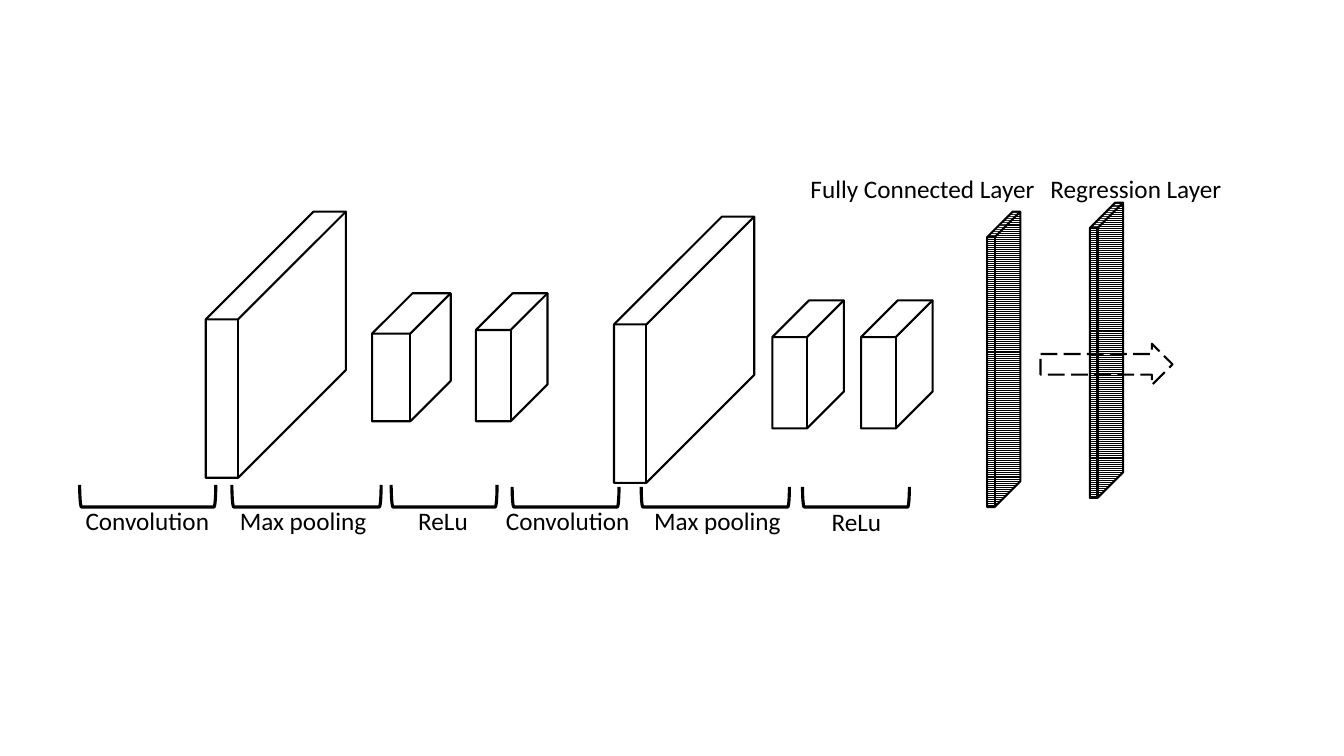
import dataclasses

import pptx
import pptx.dml.color
import pptx.enum.dml
import pptx.enum.shapes
import pptx.enum.text
import pptx.util

EMU_PER_PX = 9144
SHAPES = pptx.enum.shapes.MSO_SHAPE
BRACKET_BOTTOM = 503
LABEL_HEIGHT = 40


@dataclasses.dataclass(frozen=True)
class Theme:
    ink: pptx.dml.color.RGBColor = pptx.dml.color.RGBColor(0, 0, 0)
    paper: pptx.dml.color.RGBColor = pptx.dml.color.RGBColor(255, 255, 255)
    font: str = "Calibri"
    label_size: int = 18
    outline: float = 1.5
    bracket_line: float = 2.25


THEME = Theme()

FEATURE_MAPS = [
    (204, 210, 139, 264, 0.769),
    (369, 291, 78, 127, 0.514),
    (472, 291, 71, 127, 0.514),
    (609, 215, 139, 264, 0.769),
    (766, 298, 71, 127, 0.514),
    (854, 298, 71, 127, 0.514),
]

DENSE_LAYERS = [
    ("Fully Connected Layer", 794, 245, 979, 210),
    ("Regression Layer", 1032, 192, 1081, 201),
]

STAGES = [
    ("Convolution", 75, 496, 144, 79, 135, 22),
    ("Max pooling", 228, 496, 147, 230, 148, 22),
    ("ReLu", 405, 496, 70, 388, 105, 22),
    ("Convolution", 492, 496, 144, 508, 106, 20),
    ("Max pooling", 639, 496, 147, 636, 147, 20),
    ("ReLu", 815, 497, 70, 796, 106, 20),
]


def px(value):
    return pptx.util.Emu(round(value * EMU_PER_PX))


def set_attributes(target, values):
    for name, value in values.items():
        setattr(target, name, value)


def add_outline(slide, kind, left, top, width, height, weight=THEME.outline):
    shape = slide.shapes.add_shape(kind, px(left), px(top), px(width), px(height))
    shape.shadow.inherit = False
    shape.fill.background()
    shape.line.color.rgb = THEME.ink
    shape.line.width = pptx.util.Pt(weight)
    return shape


def add_cube(slide, left, top, width, height, depth):
    cube = add_outline(slide, SHAPES.CUBE, left, top, width, height)
    cube.adjustments[0] = depth
    return cube


def add_striped_slab(slide, left, top):
    slab = add_cube(slide, left, top, 33, 293, 0.769)
    slab.fill.patterned()
    slab.fill.pattern = pptx.enum.dml.MSO_PATTERN.LIGHT_HORIZONTAL
    slab.fill.fore_color.rgb = THEME.ink
    slab.fill.back_color.rgb = THEME.paper


def add_bottom_bracket(slide, left, width, height):
    turned_left = left + (width - height) / 2
    turned_top = BRACKET_BOTTOM - (height + width) / 2
    bracket = add_outline(slide, SHAPES.LEFT_BRACKET, turned_left, turned_top,
                          height, width, THEME.bracket_line)
    bracket.rotation = 270


def add_label(slide, text, left, top, width):
    box = slide.shapes.add_textbox(px(left), px(top), px(width), px(LABEL_HEIGHT))
    set_attributes(box.text_frame, {
        "text": text,
        "word_wrap": False,
        "auto_size": pptx.enum.text.MSO_AUTO_SIZE.SHAPE_TO_FIT_TEXT,
    })
    font = box.text_frame.paragraphs[0].runs[0].font
    set_attributes(font, {
        "name": THEME.font,
        "size": pptx.util.Pt(THEME.label_size),
    })
    font.color.rgb = THEME.ink


def add_output_arrow(slide):
    arrow = add_outline(slide, SHAPES.RIGHT_ARROW, 1032, 341, 131, 41)
    arrow.line.dash_style = pptx.enum.dml.MSO_LINE.LONG_DASH


def main():
    presentation = pptx.Presentation()
    set_attributes(presentation, {"slide_width": px(1333), "slide_height": px(750)})
    slide = presentation.slides.add_slide(presentation.slide_layouts[6])
    for feature_map in FEATURE_MAPS:
        add_cube(slide, *feature_map)
    for name, label_left, label_width, slab_left, slab_top in DENSE_LAYERS:
        add_striped_slab(slide, slab_left, slab_top)
        add_label(slide, name, label_left, 167, label_width)
    add_output_arrow(slide)
    for name, label_left, label_top, label_width, *bracket in STAGES:
        add_bottom_bracket(slide, *bracket)
        add_label(slide, name, label_left, label_top, label_width)
    presentation.save("out.pptx")


if __name__ == "__main__":
    main()
